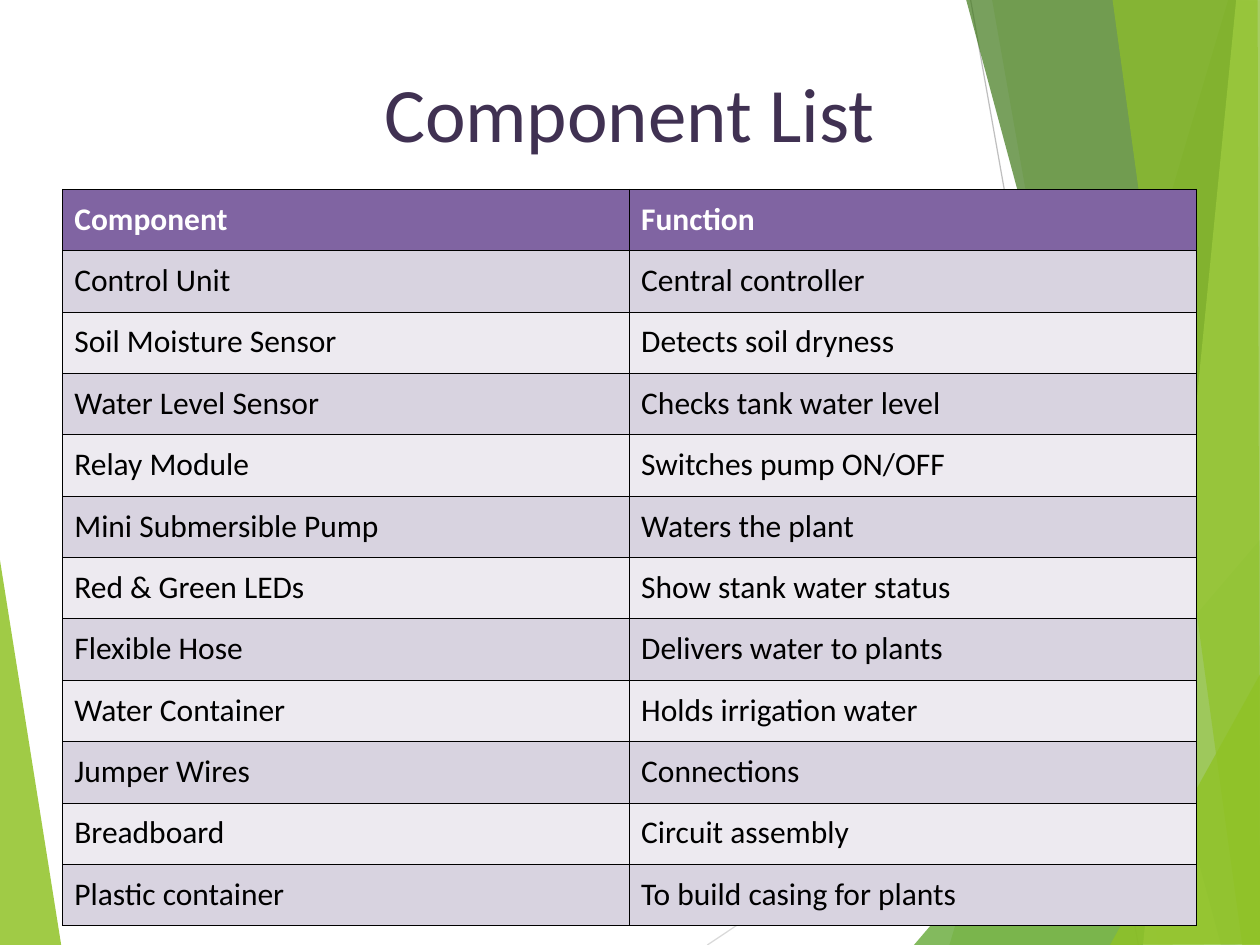
from dataclasses import dataclass

from lxml.etree import SubElement
from pptx import Presentation
from pptx.dml.color import RGBColor
from pptx.enum.shapes import MSO_CONNECTOR
from pptx.enum.text import MSO_ANCHOR, PP_ALIGN
from pptx.oxml.ns import qn
from pptx.util import Inches, Pt


@dataclass(frozen=True)
class Theme:
    font: str = "Calibri"
    title_size: float = 46.9
    table_size: float = 19.2
    title: str = "403152"
    header_text: str = "FFFFFF"
    body_text: str = "000000"
    header_fill: str = "8064A2"
    band_fills: tuple = ("D8D3E0", "EDEAF0")
    border: str = "000000"
    green: str = "90C226"
    leaf: str = "54A021"
    forest: str = "3F7819"
    lime: str = "C0E474"
    lines: tuple = ("D9D9D9", "BFBFBF")


@dataclass(frozen=True)
class Box:
    left: float
    top: float
    width: float
    height: float


THEME = Theme()
SLIDE_BOX = Box(0, 0, 10.67, 8)
TITLE_BOX = Box(0.53, 0.24, 9.6, 1.41)
TABLE_BOX = Box(0.53, 1.6, 9.6, 6.24)

ACCENT_LINES = [((5.99, 8), (10.68, 4.87)), ((8.22, 0), (9.64, 8))]
LEFT_FACET = ([(-0.01, 4.68), (0.52, 8.01), (-0.01, 8)], THEME.green, 85)
RIGHT_FACETS = [
    ([(10.4, 0), (8.04, 8), (10.69, 8.01), (10.68, 0.01)], THEME.green, 30),
    ([(8.4, -0.01), (9.81, 8), (10.68, 8), (10.68, -0.01)], THEME.green, 20),
    ([(7.74, 8), (10.67, 4.57), (10.68, 8)], THEME.leaf, 72),
    ([(8.18, -0.01), (10.34, 8), (10.68, 7.99), (10.68, -0.01)], THEME.forest, 70),
    ([(10.47, -0.01), (9.68, 8), (10.68, 8), (10.67, -0.01)], THEME.lime, 70),
    ([(9.42, -0.01), (10.52, 8), (10.67, 8), (10.65, -0.01)], THEME.green, 65),
    ([(9.4, 8), (10.67, 5.71), (10.68, 7.99)], THEME.green, 80),
]

COMPONENTS = [
    ("Component", "Function"),
    ("Control Unit", "Central controller"),
    ("Soil Moisture Sensor", "Detects soil dryness"),
    ("Water Level Sensor", "Checks tank water level"),
    ("Relay Module", "Switches pump ON/OFF"),
    ("Mini Submersible Pump", "Waters the plant"),
    ("Red & Green LEDs", "Show stank water status"),
    ("Flexible Hose", "Delivers water to plants"),
    ("Water Container", "Holds irrigation water"),
    ("Jumper Wires", "Connections"),
    ("Breadboard", "Circuit assembly"),
    ("Plastic container", "To build casing for plants"),
]


def set_attributes(target, values):
    for name, value in values.items():
        setattr(target, name, value)


def margins(size):
    sides = ("left", "top", "right", "bottom")
    return {f"margin_{side}": Inches(size) for side in sides}


def inches(box):
    return [Inches(value) for value in (box.left, box.top, box.width, box.height)]


def place(box, point):
    return Inches(box.left + point[0]), Inches(box.top + point[1])


def write(text_frame, text, color, paragraph_format, font_format):
    text_frame.text = text
    paragraph = text_frame.paragraphs[0]
    set_attributes(paragraph, paragraph_format)
    font = paragraph.runs[0].font
    set_attributes(font, {"name": THEME.font, **font_format})
    font.color.rgb = RGBColor.from_string(color)


def add_facet(slide, box, points, color, opacity):
    start, *corners = [place(box, point) for point in points]
    builder = slide.shapes.build_freeform(*start)
    builder.add_line_segments(corners, close=True)
    shape = builder.convert_to_shape()
    shape.shadow.inherit = False
    shape.line.fill.background()
    shape.fill.solid()
    shape.fill.fore_color.rgb = RGBColor.from_string(color)
    color_element = shape.element.spPr.find(f"{qn('a:solidFill')}/{qn('a:srgbClr')}")
    SubElement(color_element, qn("a:alpha"), val=str(opacity * 1000))


def add_accent_line(slide, box, start, end, color):
    connector = slide.shapes.add_connector(
        MSO_CONNECTOR.STRAIGHT, *place(box, start), *place(box, end)
    )
    connector.line.width = Pt(0.75)
    connector.line.color.rgb = RGBColor.from_string(color)
    SubElement(connector.element.spPr, qn("a:effectLst"))


def add_background(slide, box):
    add_facet(slide, box, *LEFT_FACET)
    for (start, end), color in zip(ACCENT_LINES, THEME.lines):
        add_accent_line(slide, box, start, end, color)
    for facet in RIGHT_FACETS:
        add_facet(slide, box, *facet)


def add_title(slide, box, text):
    title = slide.shapes.title
    title.element.getparent().append(title.element)
    set_attributes(title, dict(zip(("left", "top", "width", "height"), inches(box))))
    frame_format = {"vertical_anchor": MSO_ANCHOR.MIDDLE, "word_wrap": True}
    set_attributes(title.text_frame, {**frame_format, **margins(0)})
    write(
        title.text_frame, text, THEME.title,
        {"alignment": PP_ALIGN.CENTER, "line_spacing": Pt(56.3)},
        {"size": Pt(THEME.title_size), "bold": False},
    )


def add_borders(cell):
    properties = cell._tc.get_or_add_tcPr()
    for side in ("lnL", "lnR", "lnT", "lnB"):
        line = SubElement(properties, qn(f"a:{side}"), w=str(Pt(0.37)))
        fill = SubElement(line, qn("a:solidFill"))
        SubElement(fill, qn("a:srgbClr"), val=THEME.border)


def format_cell(cell, text, row_index):
    is_header = row_index == 0
    fill = THEME.header_fill if is_header else THEME.band_fills[(row_index - 1) % 2]
    color = THEME.header_text if is_header else THEME.body_text
    set_attributes(cell, {"vertical_anchor": MSO_ANCHOR.MIDDLE, **margins(0.1)})
    add_borders(cell)
    cell.fill.solid()
    cell.fill.fore_color.rgb = RGBColor.from_string(fill)
    write(
        cell.text_frame, text, color,
        {"alignment": PP_ALIGN.LEFT, "line_spacing": Pt(23)},
        {"size": Pt(THEME.table_size), "bold": is_header},
    )


def add_component_table(slide, box, rows):
    table = slide.shapes.add_table(len(rows), len(rows[0]), *inches(box)).table
    table.horz_banding = False
    for column in table.columns:
        column.width = Inches(box.width / len(rows[0]))
    for row_index, texts in enumerate(rows):
        table.rows[row_index].height = Inches(box.height / len(rows))
        for column_index, text in enumerate(texts):
            format_cell(table.cell(row_index, column_index), text, row_index)


def main():
    presentation = Presentation()
    presentation.slide_width = Inches(SLIDE_BOX.width)
    presentation.slide_height = Inches(SLIDE_BOX.height)
    title_only = presentation.slide_layouts.get_by_name("Title Only")
    slide = presentation.slides.add_slide(title_only)
    add_background(slide, SLIDE_BOX)
    add_title(slide, TITLE_BOX, "Component List")
    add_component_table(slide, TABLE_BOX, COMPONENTS)
    presentation.save("out.pptx")


if __name__ == "__main__":
    main()
